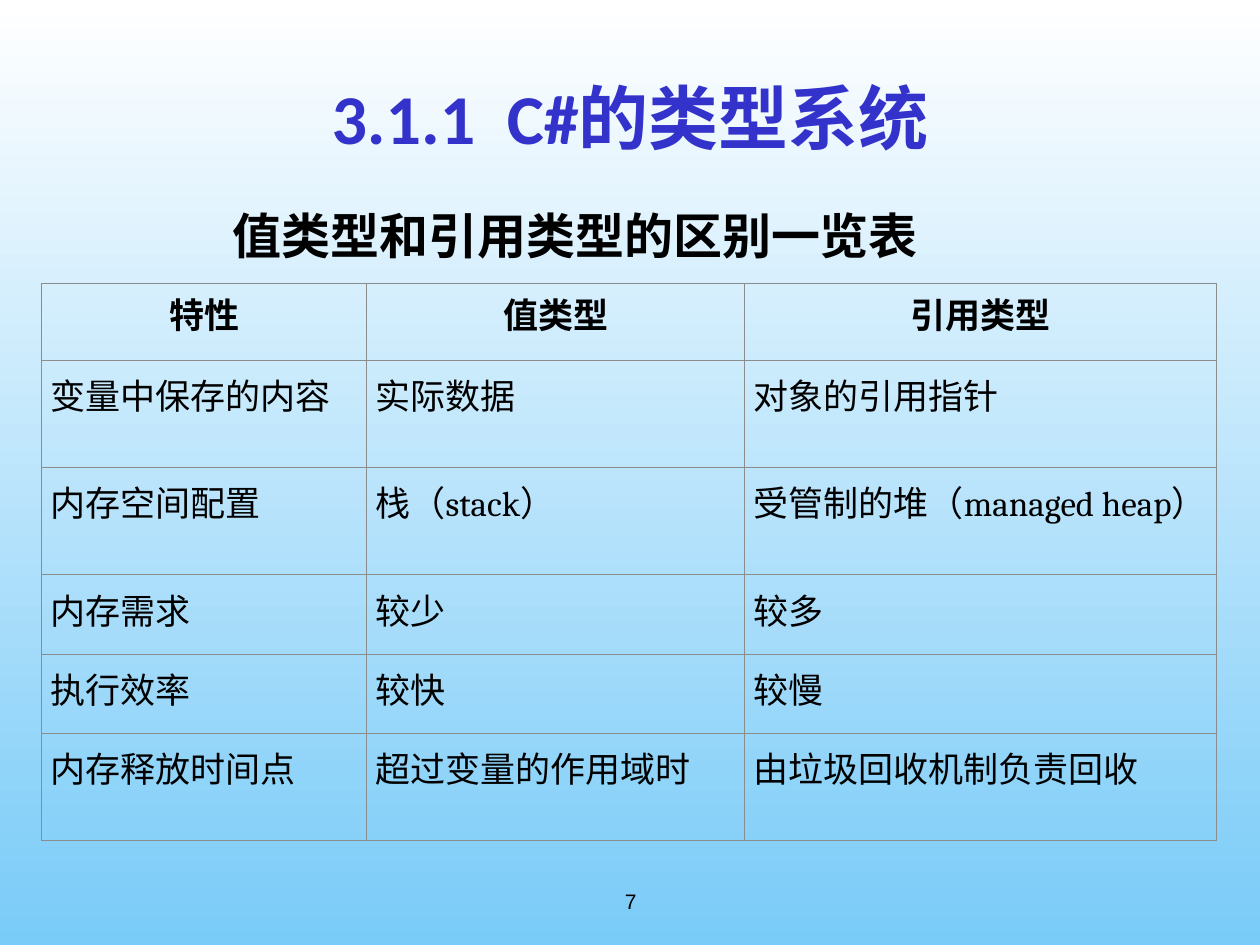
from lxml.etree import SubElement
from pptx import Presentation
from pptx.dml.color import RGBColor
from pptx.enum.text import MSO_ANCHOR, PP_ALIGN
from pptx.oxml.ns import qn
from pptx.util import Inches, Pt

COLORS = {
    "sky_top": "FFFFFF",
    "sky_bottom": "79CBF8",
    "title": "3333CC",
    "text": "000000",
    "border": "8B8D8C",
}
COLUMN_WIDTHS = [2.58, 3, 3.74]
ROW_HEIGHTS = [0.61, 0.85, 0.85, 0.63, 0.63, 0.85]
COMPARISON = [
    ["特性", "值类型", "引用类型"],
    ["变量中保存的内容", "实际数据", "对象的引用指针"],
    ["内存空间配置", "栈（stack）", "受管制的堆（managed heap）"],
    ["内存需求", "较少", "较多"],
    ["执行效率", "较快", "较慢"],
    ["内存释放时间点", "超过变量的作用域时", "由垃圾回收机制负责回收"],
]


def color(name):
    return RGBColor.from_string(COLORS[name])


def paint_background(page):
    fill = page.background.fill
    fill.gradient()
    fill.gradient_angle = 270
    for stop, name in zip(fill.gradient_stops, ["sky_top", "sky_bottom"]):
        stop.color.rgb = color(name)


def style_paragraph(para, font, size, bold=False, align=PP_ALIGN.LEFT, ink="text"):
    para.alignment = align
    para.font.name = font
    para.font.size = Pt(size)
    para.font.bold = bold
    para.font.color.rgb = color(ink)


def add_text(page, text, left, top, width, height, **style):
    box = page.shapes.add_textbox(
        Inches(left), Inches(top), Inches(width), Inches(height)
    )
    frame = box.text_frame
    frame.word_wrap = True
    frame.vertical_anchor = MSO_ANCHOR.MIDDLE
    frame.text = text
    style_paragraph(frame.paragraphs[0], **style)


def add_borders(cell):
    properties = cell._tc.get_or_add_tcPr()
    for side in ["lnL", "lnR", "lnT", "lnB"]:
        line = SubElement(properties, qn(f"a:{side}"), w=str(Pt(0.45)))
        fill = SubElement(line, qn("a:solidFill"))
        SubElement(fill, qn("a:srgbClr"), val=COLORS["border"])


def fill_cell(cell, text, is_header):
    cell.margin_left = cell.margin_right = Inches(0.07)
    cell.margin_top = Inches(0.27 if is_header else 0.07)
    cell.margin_bottom = Inches(0.05)
    add_borders(cell)
    cell.fill.background()
    cell.text = text
    para = cell.text_frame.paragraphs[0]
    if is_header:
        para.line_spacing = Pt(12)
        style_paragraph(para, "Arial", 20, bold=True, align=PP_ALIGN.CENTER)
    else:
        style_paragraph(para, "Cambria", 20)


def add_comparison_table(page, left, top):
    table = page.shapes.add_table(
        len(ROW_HEIGHTS), len(COLUMN_WIDTHS), Inches(left), Inches(top),
        Inches(sum(COLUMN_WIDTHS)), Inches(sum(ROW_HEIGHTS)),
    ).table
    table.first_row = False
    table.horz_banding = False
    for column, width in zip(table.columns, COLUMN_WIDTHS):
        column.width = Inches(width)
    for row_index, (row, height) in enumerate(zip(table.rows, ROW_HEIGHTS)):
        row.height = Inches(height)
        for cell, text in zip(row.cells, COMPARISON[row_index]):
            fill_cell(cell, text, is_header=row_index == 0)


def main():
    deck = Presentation()
    deck.slide_width = Inches(10)
    deck.slide_height = Inches(7.5)
    page = deck.slides.add_slide(deck.slide_layouts[6])
    paint_background(page)
    add_text(page, "7", 3.42, 6.95, 3.17, 0.4,
             font="Arial", size=12, align=PP_ALIGN.CENTER)
    add_text(page, "3.1.1  C#的类型系统", 0.25, 0.3, 9.5, 1.25,
             font="Calibri", size=40, bold=True, align=PP_ALIGN.CENTER, ink="title")
    add_comparison_table(page, 0.33, 2.25)
    add_text(page, "值类型和引用类型的区别一览表", 1.75, 1.58, 6.33, 0.57,
             font="Cambria", size=28, bold=True)
    deck.save("out.pptx")


if __name__ == "__main__":
    main()
